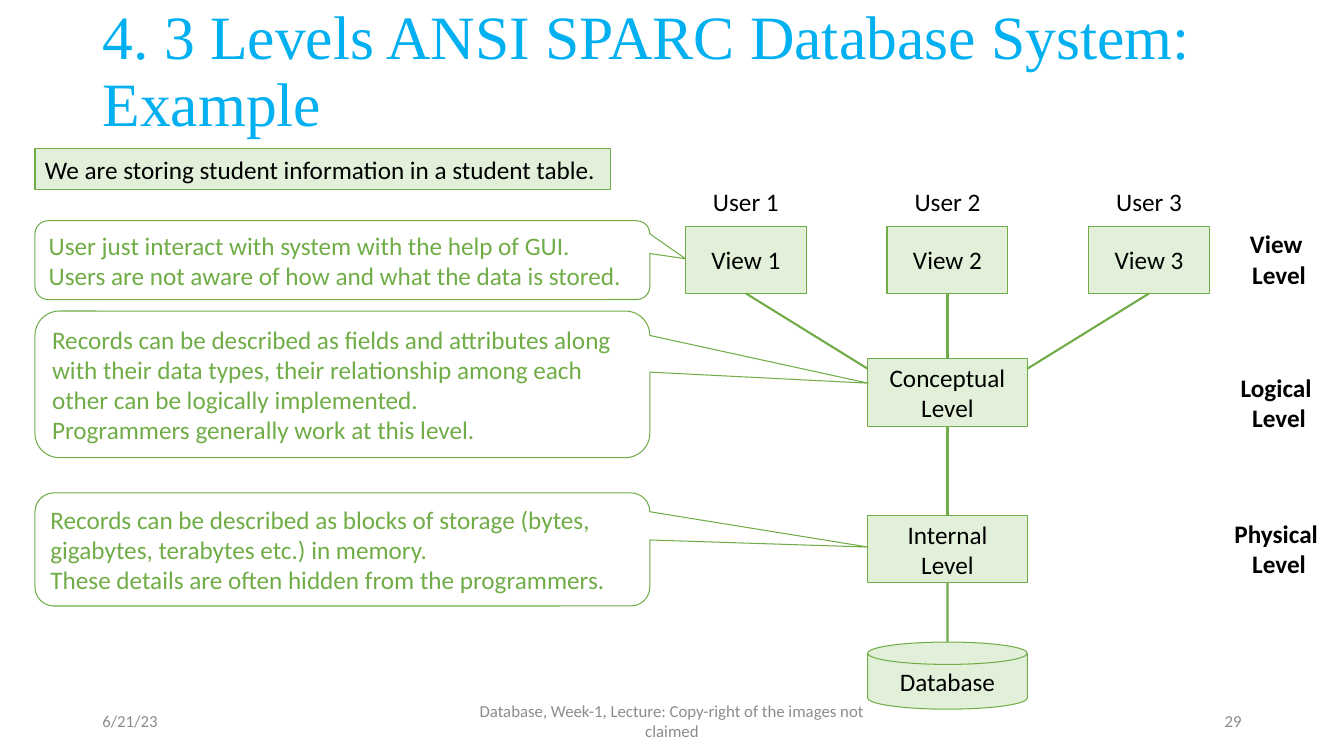
from lxml.etree import SubElement
from pptx import Presentation
from pptx.dml.color import RGBColor
from pptx.enum.shapes import MSO_CONNECTOR, MSO_SHAPE
from pptx.enum.text import MSO_ANCHOR, MSO_AUTO_SIZE, PP_ALIGN
from pptx.oxml.ns import qn
from pptx.util import Pt

BLACK = RGBColor(0x00, 0x00, 0x00)
WHITE = RGBColor(0xFF, 0xFF, 0xFF)
GRAY = RGBColor(0x8C, 0x8C, 0x8C)
SKY = RGBColor(0x00, 0xB0, 0xF0)
GREEN = RGBColor(0x70, 0xAD, 0x47)
PALE_GREEN = RGBColor(0xE2, 0xF0, 0xD9)

presentation = Presentation()
presentation.slide_width, presentation.slide_height = Pt(960), Pt(540)
slide = presentation.slides.add_slide(presentation.slide_layouts[5])


def write(shape, text, size=18, color=BLACK, bold=False, font="Calibri",
          align=PP_ALIGN.CENTER, anchor=MSO_ANCHOR.MIDDLE, spacing=1.0):
    """Fill a shape with text, one paragraph per line."""
    frame = shape.text_frame
    frame.text = text
    frame.word_wrap = True
    frame.auto_size = MSO_AUTO_SIZE.NONE
    frame.vertical_anchor = anchor
    for paragraph in frame.paragraphs:
        paragraph.alignment = align
        paragraph.line_spacing = spacing
        paragraph.font.size = Pt(size)
        paragraph.font.name = font
        paragraph.font.bold = bold
        paragraph.font.color.rgb = color


def add_outlined(kind, left, top, width, height, text, fill=PALE_GREEN, **text_format):
    shape = slide.shapes.add_shape(kind, Pt(left), Pt(top), Pt(width), Pt(height))
    shape.shadow.inherit = False
    shape.fill.solid()
    shape.fill.fore_color.rgb = fill
    shape.line.color.rgb = GREEN
    shape.line.width = Pt(0.75)
    write(shape, text, **text_format)
    return shape


title = slide.shapes.title
title.left, title.top, title.width, title.height = Pt(66), Pt(0), Pt(828), Pt(104.4)
write(title, "4. 3 Levels ANSI SPARC Database System: Example", size=44, color=SKY,
      font="Times New Roman", align=PP_ALIGN.LEFT, spacing=0.9)

footers = [
    (66, 216, "6/21/23", PP_ALIGN.LEFT),
    (318, 324, "Database, Week-1, Lecture: Copy-right of the images not claimed",
     PP_ALIGN.CENTER),
    (678, 216, "29", PP_ALIGN.RIGHT),
]
for left, width, text, align in footers:
    footer = slide.shapes.add_textbox(Pt(left), Pt(500.5), Pt(width), Pt(28.75))
    write(footer, text, size=12, color=GRAY, align=align)

for top, name in [(159.8, "View"), (262.4, "Logical"), (366.5, "Physical")]:
    level_label = slide.shapes.add_textbox(Pt(874), Pt(top), Pt(79.2), Pt(51))
    write(level_label, f"{name} \nLevel", bold=True, anchor=MSO_ANCHOR.TOP)

# Level diagram, centred on one vertical axis
AXIS = 676.8
BOX_HEIGHT = 48
VIEW_TOP, VIEW_WIDTH, VIEW_STEP = 161.6, 86.4, 144
LEVEL_WIDTH = 114
LEVEL_LEFT = AXIS - LEVEL_WIDTH / 2
CONCEPTUAL_TOP, DATABASE_TOP = 256.4, 458.6

views = []
for number in (1, 2, 3):
    center = AXIS + (number - 2) * VIEW_STEP
    views.append(add_outlined(MSO_SHAPE.RECTANGLE, center - VIEW_WIDTH / 2, VIEW_TOP,
                              VIEW_WIDTH, BOX_HEIGHT, f"View {number}"))
    user_label = slide.shapes.add_textbox(Pt(center - 36), Pt(129.2), Pt(72), Pt(29))
    write(user_label, f"User {number}", anchor=MSO_ANCHOR.TOP)

conceptual = add_outlined(MSO_SHAPE.RECTANGLE, LEVEL_LEFT, CONCEPTUAL_TOP, LEVEL_WIDTH,
                          BOX_HEIGHT, "Conceptual\nLevel")
internal = add_outlined(MSO_SHAPE.RECTANGLE, LEVEL_LEFT, 368.4, LEVEL_WIDTH,
                        BOX_HEIGHT, "Internal\nLevel")
add_outlined(MSO_SHAPE.FLOWCHART_MAGNETIC_DISK, LEVEL_LEFT, DATABASE_TOP, LEVEL_WIDTH,
             BOX_HEIGHT, "Database")

# Each line leaves the bottom of a box; a target box is joined at its top
SHOULDER = CONCEPTUAL_TOP + 7
links = [
    (views[0], LEVEL_LEFT, SHOULDER, None),
    (views[1], AXIS, CONCEPTUAL_TOP, conceptual),
    (views[2], LEVEL_LEFT + LEVEL_WIDTH, SHOULDER, None),
    (conceptual, AXIS, 368.4, internal),
    (internal, AXIS, DATABASE_TOP, None),
]
for source, end_x, end_y, target in links:
    link = slide.shapes.add_connector(MSO_CONNECTOR.STRAIGHT, Pt(AXIS), Pt(VIEW_TOP),
                                      Pt(end_x), Pt(end_y))
    link.begin_connect(source, 2)
    if target is not None:
        link.end_connect(target, 0)
    link.line.color.rgb = GREEN
    link.line.width = Pt(1.5)
    SubElement(link._element.spPr, qn("a:effectLst"))

callouts = [
    (352.1, 80.8, 0.855, -0.021,
     "Records can be described as blocks of storage (bytes, gigabytes, terabytes etc.) "
     "in memory.\nThese details are often hidden from the programmers."),
    (222.2, 104.7, 0.855, -0.008,
     "Records can be described as fields and attributes along with their data types, "
     "their relationship among each other can be logically implemented.\n"
     "Programmers generally work at this level."),
    (157.7, 56.3, 0.558, -0.018,
     "User just interact with system with the help of GUI.\n"
     "Users are not aware of how and what the data is stored."),
]
for top, height, tip_x, tip_y, text in callouts:
    callout = add_outlined(MSO_SHAPE.ROUNDED_RECTANGULAR_CALLOUT, 25, top, 439.2, height,
                           text, fill=WHITE, color=GREEN, align=PP_ALIGN.LEFT)
    callout.adjustments[0] = tip_x
    callout.adjustments[1] = tip_y

add_outlined(MSO_SHAPE.RECTANGLE, 25, 106.2, 411.1, 29,
             "We are storing student information in a student table.", align=PP_ALIGN.LEFT)

presentation.save("out.pptx")
